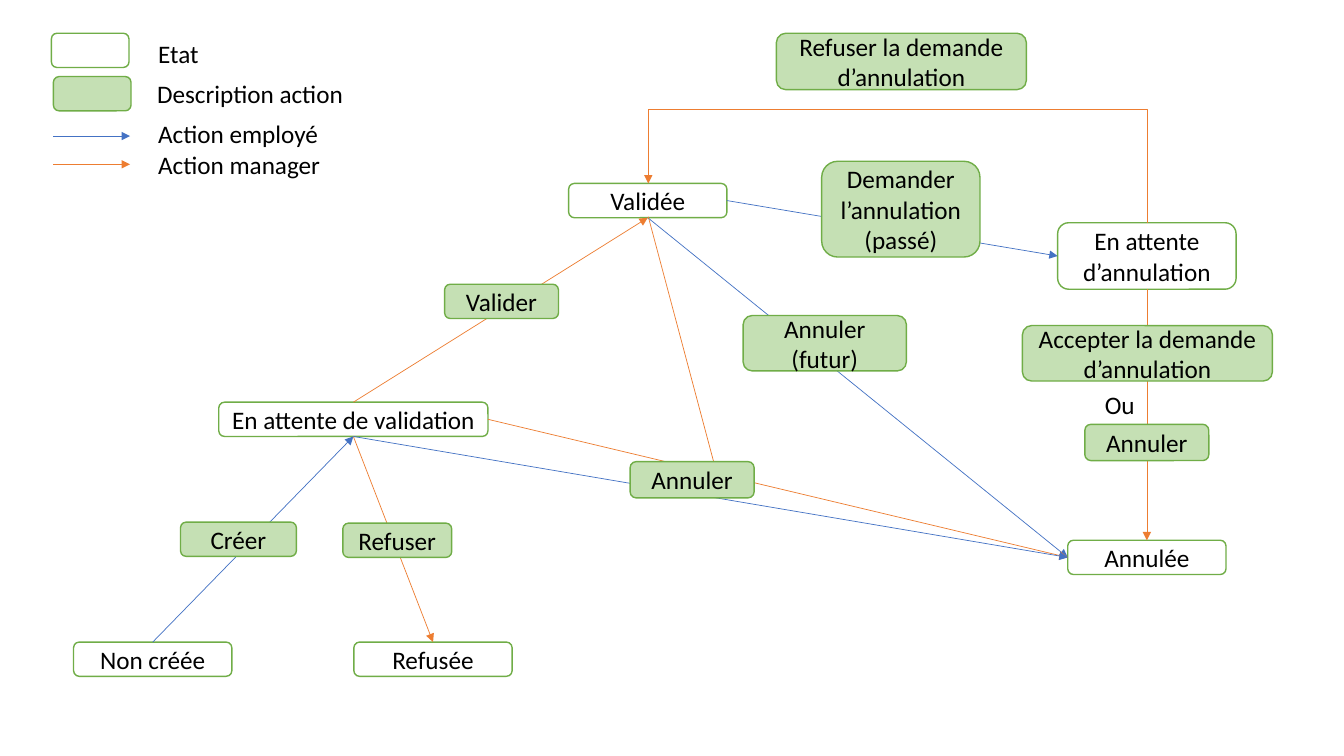
from dataclasses import dataclass
from typing import Optional

from pptx import Presentation
from pptx.dml.color import RGBColor
from pptx.enum.shapes import MSO_CONNECTOR, MSO_SHAPE
from pptx.enum.text import MSO_ANCHOR, MSO_AUTO_SIZE, PP_ALIGN
from pptx.oxml.ns import qn
from pptx.oxml.xmlchemy import OxmlElement
from pptx.shapes.autoshape import Shape
from pptx.shapes.connector import Connector
from pptx.slide import Slide
from pptx.util import Inches, Pt

COLORS = {
    "state": "FFFFFF",
    "action": "C5E0B4",
    "border": "70AD47",
    "employee": "4472C4",
    "manager": "ED7D31",
    "text": "000000",
}
FONT = {"name": "Calibri", "size": Pt(18)}
BOX_FRAME = {"vertical_anchor": MSO_ANCHOR.MIDDLE, "word_wrap": True}
LABEL_FRAME = {"word_wrap": False, "auto_size": MSO_AUTO_SIZE.SHAPE_TO_FIT_TEXT}
TOP, LEFT, BOTTOM, RIGHT = range(4)


@dataclass(frozen=True)
class Box:
    text: str
    left: float
    top: float
    width: float = 1.57
    height: float = 0.34


@dataclass(frozen=True)
class Link:
    actor: str
    source: str
    source_site: int
    target: str
    target_site: int


@dataclass(frozen=True)
class Arrow:
    actor: str
    start: tuple[float, float]
    end: tuple[float, float]
    head: Optional[str] = "triangle"


STATES = [
    Box("", 0.51, 0.33, 0.77),
    Box("Non créée", 0.73, 6.37),
    Box("Annulée", 10.59, 5.36),
    Box("En attente de validation", 2.17, 3.99, 2.67),
    Box("Validée", 5.64, 1.82),
    Box("Refusée", 3.51, 6.37),
    Box("En attente d’annulation", 10.49, 2.21, 1.77, 0.66),
]
ACTIONS = [
    Box("", 0.53, 0.76, 0.77),
    Box("Créer", 1.79, 5.18, 1.15),
    Box("Valider", 4.41, 2.82, 1.13),
    Box("Refuser", 3.4, 5.19, 1.08),
    Box("Demander l’annulation\n(passé)", 8.15, 1.6, 1.57, 0.95),
    Box("Accepter la demande d’annulation", 10.14, 3.23, 2.48, 0.55),
    Box("Refuser la demande d’annulation", 7.7, 0.33, 2.48, 0.56),
    Box("Annuler\n(futur)", 7.37, 3.13, 1.62, 0.55),
    Box("Annuler", 6.25, 4.58, 1.23, 0.36),
    Box("Annuler", 10.76, 4.21, 1.23, 0.36),
]
LABELS = [
    Box("Etat", 1.47, 0.33, 0.61, 0.4),
    Box("Description action", 1.46, 0.73, 2.07, 0.4),
    Box("Action employé", 1.47, 1.12, 1.81, 0.4),
    Box("Action manager", 1.47, 1.43, 1.83, 0.4),
    Box("Ou", 10.86, 3.81, 0.5, 0.4),
]
LINKS = [
    Link("employee", "Non créée", TOP, "En attente de validation", BOTTOM),
    Link("manager", "En attente de validation", TOP, "Validée", BOTTOM),
    Link("manager", "En attente de validation", BOTTOM, "Refusée", TOP),
    Link("employee", "Validée", RIGHT, "En attente d’annulation", LEFT),
    Link("manager", "En attente d’annulation", BOTTOM, "Annulée", TOP),
    Link("employee", "Validée", BOTTOM, "Annulée", LEFT),
    Link("manager", "En attente de validation", RIGHT, "Annulée", LEFT),
    Link("employee", "En attente de validation", BOTTOM, "Annulée", LEFT),
]
REFUSED_CANCELLATION = Link("manager", "En attente d’annulation", TOP, "Validée", TOP)
ARROWS = [
    Arrow("employee", (0.53, 1.35), (1.29, 1.35)),
    Arrow("manager", (0.53, 1.63), (1.29, 1.63)),
    Arrow("manager", (6.43, 2.15), (7.11, 4.7), None),
]


def color(name: str) -> RGBColor:
    """Return the named colour."""
    return RGBColor.from_string(COLORS[name])


def apply(target: object, values: dict) -> None:
    """Set each format value on the target."""
    for name, value in values.items():
        setattr(target, name, value)


def write(shape: Shape, text: str, frame: dict, alignment: PP_ALIGN) -> None:
    """Fill the shape with formatted text."""
    apply(shape.text_frame, frame)
    shape.text_frame.text = text
    for paragraph in shape.text_frame.paragraphs:
        paragraph.alignment = alignment
        apply(paragraph.font, FONT)
        paragraph.font.color.rgb = color("text")


def draw_box(slide: Slide, box: Box, kind: str) -> Shape:
    """Draw a rounded state or action box."""
    bounds = map(Inches, (box.left, box.top, box.width, box.height))
    shape = slide.shapes.add_shape(MSO_SHAPE.ROUNDED_RECTANGLE, *bounds)
    shape.shadow.inherit = False
    shape.fill.solid()
    shape.fill.fore_color.rgb = color(kind)
    shape.line.color.rgb = color("border")
    shape.line.width = Pt(1)
    if box.text:
        write(shape, box.text, BOX_FRAME, PP_ALIGN.CENTER)
    return shape


def draw_label(slide: Slide, label: Box) -> None:
    """Draw a plain text label."""
    bounds = map(Inches, (label.left, label.top, label.width, label.height))
    write(slide.shapes.add_textbox(*bounds), label.text, LABEL_FRAME, PP_ALIGN.LEFT)


def draw_arrow(slide: Slide, arrow: Arrow, kind: MSO_CONNECTOR = MSO_CONNECTOR.STRAIGHT) -> Connector:
    """Draw a thin line in the colour of its actor."""
    points = map(Inches, (*arrow.start, *arrow.end))
    connector = slide.shapes.add_connector(kind, *points)
    connector.line.color.rgb = color(arrow.actor)
    connector.line.width = Pt(0.5)
    properties = connector._element.spPr
    if arrow.head:
        tail = OxmlElement("a:tailEnd")
        tail.set("type", arrow.head)
        properties.find(qn("a:ln")).append(tail)
    properties.append(OxmlElement("a:effectLst"))
    return connector


def draw_link(slide: Slide, link: Link, states: dict[str, Shape],
              kind: MSO_CONNECTOR = MSO_CONNECTOR.STRAIGHT) -> Connector:
    """Draw an arrow glued to two states."""
    connector = draw_arrow(slide, Arrow(link.actor, (0, 0), (1, 1)), kind)
    connector.begin_connect(states[link.source], link.source_site)
    connector.end_connect(states[link.target], link.target_site)
    return connector


def draw_return(slide: Slide, states: dict[str, Shape]) -> None:
    """Draw the bent arrow that passes above both states."""
    connector = draw_link(slide, REFUSED_CANCELLATION, states, MSO_CONNECTOR.ELBOW)
    bounds = {"left": 8.71, "top": -0.46, "width": 0.39, "height": 4.95}
    apply(connector, {name: Inches(value) for name, value in bounds.items()})
    properties = connector._element.spPr
    apply(properties.xfrm, {"rot": 270.0, "flipH": False, "flipV": True})
    guide = OxmlElement("a:gd")
    guide.set("name", "adj1")
    guide.set("fmla", "val 288400")
    properties.find(qn("a:prstGeom")).find(qn("a:avLst")).append(guide)


def main() -> None:
    """Build the leave request state diagram."""
    presentation = Presentation()
    apply(presentation, {"slide_width": Inches(13.33), "slide_height": Inches(7.5)})
    slide = presentation.slides.add_slide(presentation.slide_layouts[6])
    states = {box.text: draw_box(slide, box, "state") for box in STATES}
    for link in LINKS:
        draw_link(slide, link, states)
    draw_return(slide, states)
    for arrow in ARROWS:
        draw_arrow(slide, arrow)
    for box in ACTIONS:
        draw_box(slide, box, "action")
    for label in LABELS:
        draw_label(slide, label)
    presentation.save("out.pptx")


if __name__ == "__main__":
    main()
